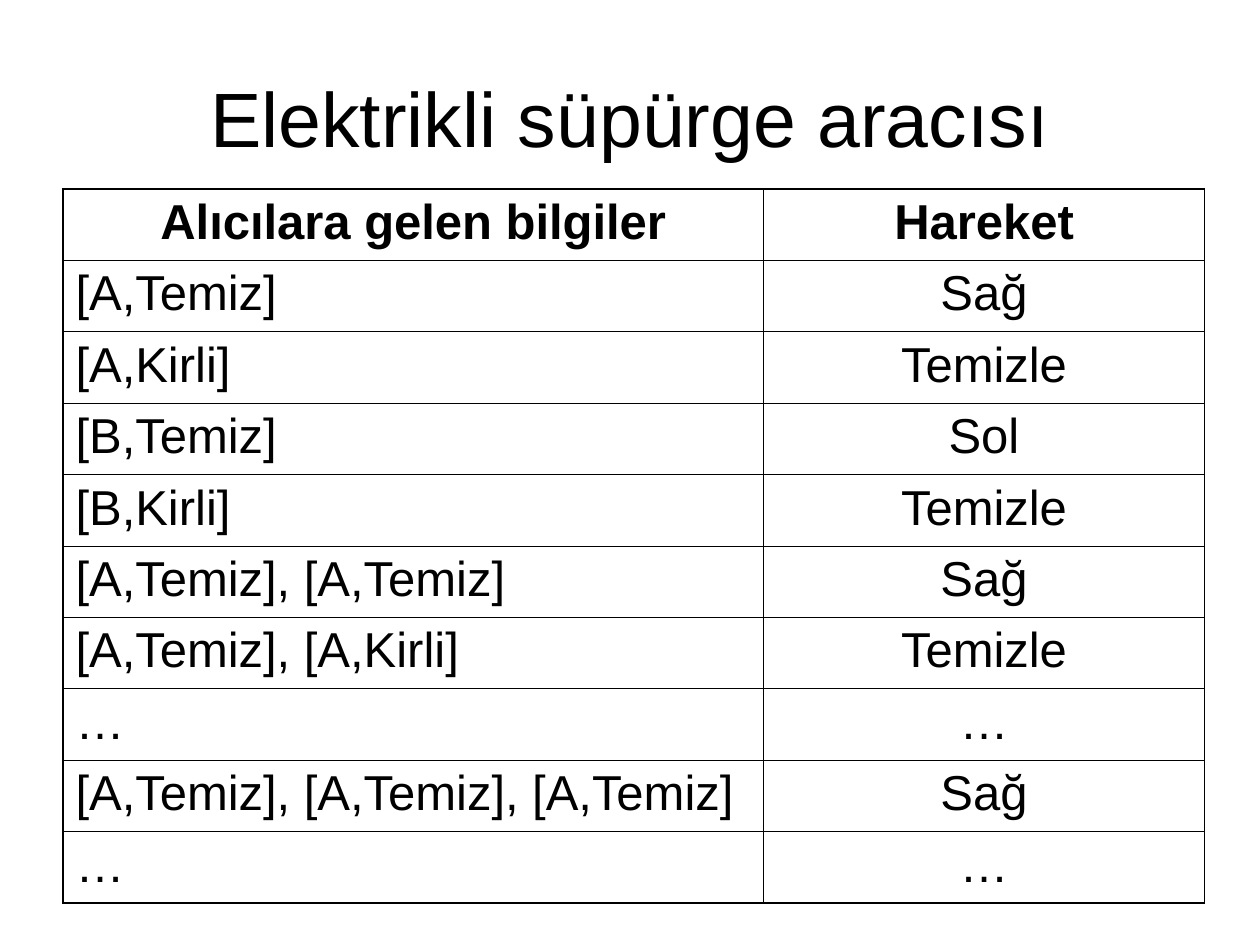
from dataclasses import dataclass

from lxml.etree import SubElement
from pptx import Presentation
from pptx.dml.color import RGBColor
from pptx.enum.text import MSO_ANCHOR, PP_ALIGN
from pptx.oxml.ns import qn
from pptx.util import Pt


@dataclass(frozen=True)
class Theme:
    font: str = "Arial"
    ink: str = "000000"
    paper: str = "FFFFFF"
    title_size: int = 44
    cell_size: int = 28
    outer_line: float = 1.08
    inner_line: float = 0.45


THEME = Theme()

TITLE = "Elektrikli süpürge aracısı"
PERCEPT_ACTIONS = [
    ("Alıcılara gelen bilgiler", "Hareket"),
    ("[A,Temiz]", "Sağ"),
    ("[A,Kirli]", "Temizle"),
    ("[B,Temiz]", "Sol"),
    ("[B,Kirli]", "Temizle"),
    ("[A,Temiz], [A,Temiz]", "Sağ"),
    ("[A,Temiz], [A,Kirli]", "Temizle"),
    ("…", "…"),
    ("[A,Temiz], [A,Temiz], [A,Temiz]", "Sağ"),
    ("…", "…"),
]
COLUMN_WIDTHS = (400.3, 252)
ROW_HEIGHT = 40.8


def write_text(text_frame, text, size, bold=False, align=PP_ALIGN.CENTER):
    paragraph = text_frame.paragraphs[0]
    paragraph.alignment = align
    run = paragraph.add_run()
    run.text = text
    run.font.name = THEME.font
    run.font.size = Pt(size)
    run.font.bold = bold
    run.font.color.rgb = RGBColor.from_string(THEME.ink)


def draw_cell_borders(cell, outer_sides):
    """Draw all four borders, heavier on the sides at the table's edge."""
    properties = cell._tc.get_or_add_tcPr()
    for side in "LRTB":
        width = THEME.outer_line if side in outer_sides else THEME.inner_line
        line = SubElement(properties, qn(f"a:ln{side}"), w=str(Pt(width)))
        fill = SubElement(line, qn("a:solidFill"))
        SubElement(fill, qn("a:srgbClr"), val=THEME.ink)


def add_title(slide):
    title = slide.shapes.title
    title.left, title.top = Pt(36), Pt(21.6)
    title.width, title.height = Pt(648), Pt(90)
    title.text_frame.vertical_anchor = MSO_ANCHOR.MIDDLE
    write_text(title.text_frame, TITLE, THEME.title_size)


def add_percept_table(slide):
    row_count, column_count = len(PERCEPT_ACTIONS), len(COLUMN_WIDTHS)
    table = slide.shapes.add_table(
        row_count, column_count, Pt(36), Pt(108),
        Pt(sum(COLUMN_WIDTHS)), Pt(ROW_HEIGHT * row_count)
    ).table
    table.horz_banding = False
    for column, width in zip(table.columns, COLUMN_WIDTHS):
        column.width = Pt(width)
    for row_index, texts in enumerate(PERCEPT_ACTIONS):
        table.rows[row_index].height = Pt(ROW_HEIGHT)
        is_header = row_index == 0
        for column_index, text in enumerate(texts):
            cell = table.cell(row_index, column_index)
            outer_sides = "L" if column_index == 0 else "R"
            if is_header:
                outer_sides += "T"
            if row_index == row_count - 1:
                outer_sides += "B"
            draw_cell_borders(cell, outer_sides)
            cell.fill.background()
            is_percept = column_index == 0 and not is_header
            write_text(cell.text_frame, text, THEME.cell_size, bold=is_header,
                       align=PP_ALIGN.LEFT if is_percept else PP_ALIGN.CENTER)


def main():
    presentation = Presentation()
    presentation.slide_width, presentation.slide_height = Pt(720), Pt(540)
    slide = presentation.slides.add_slide(presentation.slide_layouts[5])
    background = slide.background.fill
    background.solid()
    background.fore_color.rgb = RGBColor.from_string(THEME.paper)
    add_title(slide)
    add_percept_table(slide)
    presentation.save("out.pptx")


if __name__ == "__main__":
    main()
